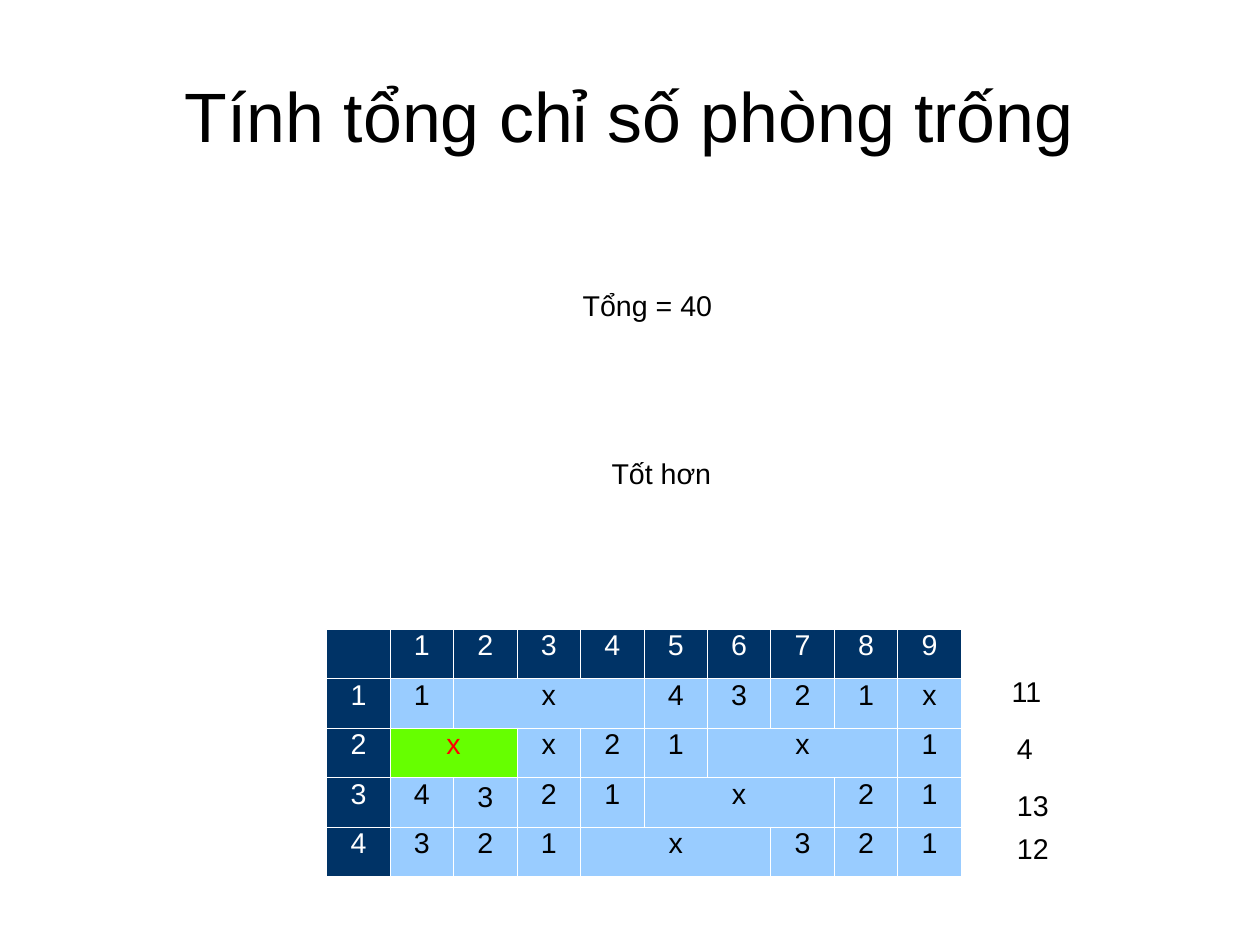
from dataclasses import dataclass

from lxml.etree import fromstring
from pptx import Presentation
from pptx.dml.color import RGBColor as Rgb
from pptx.enum.text import MSO_ANCHOR as Anchor, MSO_AUTO_SIZE as Auto, PP_ALIGN as Align
from pptx.oxml.ns import nsdecls
from pptx.slide import Slide
from pptx.table import _Cell as Cell
from pptx.text.text import TextFrame as Frame
from pptx.util import Cm, Pt

BLACK, WHITE, RED = "000000", "FFFFFF", "FF0000"
NAVY, SKY, LIME = "003366", "99CCFF", "66FF00"
ROOMS = [" 123456789", "11x--4321x", "2x-x21x--1", "34321x--21", "4321x--321"]
BOOKED = (2, 1)
LOOSE = (3, 2)


@dataclass
class Label:
    text: str
    left: float
    top: float
    width: float
    height: float = 0.97


LABELS = [
    Label("11", 22.23, 14.91, 1.25),
    Label("4", 22.35, 16.18, 0.9),
    Label("13", 22.35, 17.45, 1.25),
    Label("12", 22.35, 18.42, 1.25),
    Label("Tổng = 40", 12.7, 6.35, 3.4),
    Label("Tốt hơn", 13.34, 10.08, 2.75),
]
TITLE = Label("Tính tổng chỉ số phòng trống", 1.4, 0.84, 25.2, 3.5)


def paint(code: str) -> Rgb:
    return Rgb.from_string(code)


def write(frame: Frame, text: str, size: int, color: str, align: Align, space: float) -> None:
    frame.text = text
    line = frame.paragraphs[0]
    line.alignment = align
    line.line_spacing = space
    for run in line.runs:
        run.font.name = "Arial"
        run.font.size = Pt(size)
        run.font.color.rgb = paint(color)


def add_text(slide: Slide, label: Label, size: int, align: Align) -> Frame:
    box = slide.shapes.add_textbox(
        Cm(label.left), Cm(label.top), Cm(label.width), Cm(label.height))
    write(box.text_frame, label.text, size, BLACK, align, 0.93)
    return box.text_frame


def add_label(slide: Slide, label: Label) -> None:
    frame = add_text(slide, label, 18, Align.LEFT)
    frame.word_wrap = False
    frame.auto_size = Auto.SHAPE_TO_FIT_TEXT


def add_title(slide: Slide) -> None:
    frame = add_text(slide, TITLE, 44, Align.CENTER)
    frame.word_wrap = True
    frame.vertical_anchor = Anchor.MIDDLE
    frame.margin_left = frame.margin_right = frame.margin_bottom = 0
    frame.margin_top = Cm(0.1)


def edge(cell: Cell) -> None:
    props = cell._tc.get_or_add_tcPr()
    for rank, side in enumerate("LRTB"):
        props.insert(rank, fromstring(
            f'<a:ln{side} {nsdecls("a")} w="{Pt(0.57)}"><a:solidFill>'
            f'<a:srgbClr val="{WHITE}"/></a:solidFill></a:ln{side}>'))


def add_rooms(slide: Slide) -> None:
    wide, high = 1.41, 1.1
    rows, cols = len(ROOMS), len(ROOMS[0])
    table = slide.shapes.add_table(
        rows, cols, Cm(7.26), Cm(13.98), Cm(wide * cols), Cm(high * rows)).table
    table.first_row = table.horz_banding = False
    for col in table.columns:
        col.width = Cm(wide)
    for y, line in enumerate(ROOMS):
        table.rows[y].height = Cm(high)
        for x, mark in enumerate(line):
            cell = table.cell(y, x)
            if x == 0 or y == 0:
                fill, color = NAVY, WHITE
            elif (y, x) == BOOKED:
                fill, color = LIME, RED
            else:
                fill, color = SKY, BLACK
            cell.fill.solid()
            cell.fill.fore_color.rgb = paint(fill)
            edge(cell)
            space = 0.93 if (y, x) == LOOSE else 0.81
            write(cell.text_frame, mark.strip(" -"), 18, color, Align.CENTER, space)
            tail = line[x + 1:]
            span = len(tail) - len(tail.lstrip("-"))
            if mark == "x" and span:
                cell.merge(table.cell(y, x + span))


def main() -> None:
    deck = Presentation()
    deck.slide_width, deck.slide_height = Cm(28), Cm(21)
    slide = deck.slides.add_slide(deck.slide_layouts[6])
    add_title(slide)
    for label in LABELS:
        add_label(slide, label)
    add_rooms(slide)
    deck.save("out.pptx")


if __name__ == "__main__":
    main()
